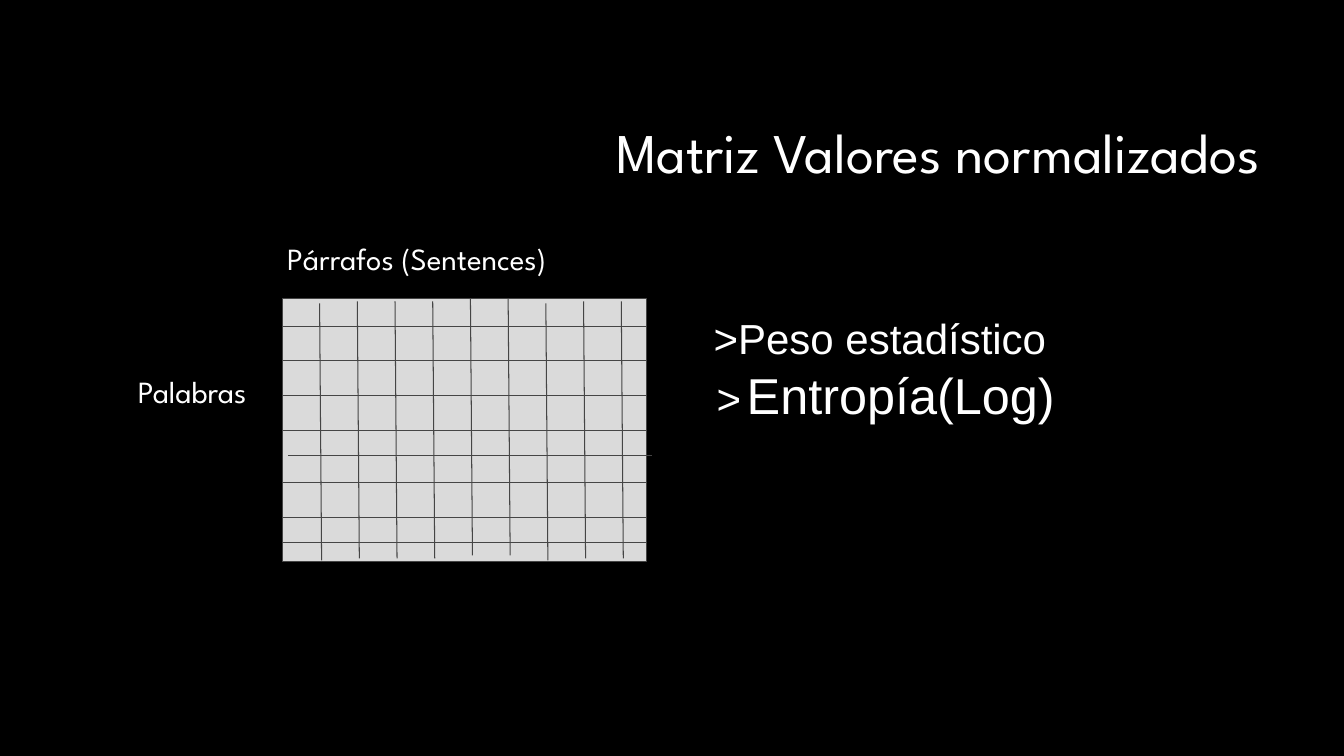
from lxml import etree
from pptx import Presentation
from pptx.dml.color import RGBColor
from pptx.enum.shapes import MSO_CONNECTOR, MSO_SHAPE
from pptx.enum.text import MSO_ANCHOR, PP_ALIGN
from pptx.oxml.ns import qn
from pptx.util import Inches, Pt

BLACK = RGBColor(0x00, 0x00, 0x00)
WHITE = RGBColor(0xFF, 0xFF, 0xFF)
CELL_GRAY = RGBColor(0xDA, 0xDA, 0xDA)
LINE_GRAY = RGBColor(0x45, 0x45, 0x45)
SPARTAN, ARIAL = "League Spartan", "Arial"
LEFT, RIGHT = PP_ALIGN.LEFT, PP_ALIGN.RIGHT
TOP, MIDDLE = MSO_ANCHOR.TOP, MSO_ANCHOR.MIDDLE
RECTANGLE, STRAIGHT = MSO_SHAPE.RECTANGLE, MSO_CONNECTOR.STRAIGHT

COLUMN_PITCH, COLUMN_HEIGHT, COLUMN_SLANT = 0.374, 2.55, 0.02
COLUMN_TOPS = [0.05, 0.03, 0.03, 0.03, 0, 0, 0.05, 0.03, 0.03]
ROWS = [(0, 0.28), (0, 0.62), (0, 0.96), (0, 1.31), (0.06, 1.56),
        (0, 1.83), (0, 2.17), (0, 2.42)]


def add_text(s, box, paragraphs, font, align=LEFT, anchor=TOP, spacing=1.0):
    """Add a text box whose paragraphs are lists of (text, size) runs."""
    tf = s.shapes.add_textbox(*map(Inches, box)).text_frame
    tf.word_wrap = True
    tf.vertical_anchor = anchor
    tf.margin_left = tf.margin_right = Inches(0.1)
    tf.margin_top = tf.margin_bottom = Inches(0.1)
    for i, runs in enumerate(paragraphs):
        p = tf.add_paragraph() if i else tf.paragraphs[0]
        p.alignment = align
        p.line_spacing = spacing
        for text, size in runs:
            r = p.add_run()
            r.text = text
            r.font.name = font
            r.font.size = Pt(size)
            r.font.color.rgb = WHITE
    return tf


def add_line(s, x1, y1, x2, y2):
    """Draw one thin grid line."""
    c = s.shapes.add_connector(STRAIGHT, *map(Inches, (x1, y1, x2, y2)))
    c.line.color.rgb = LINE_GRAY
    c.line.width = Pt(0.75)
    etree.SubElement(c._element.spPr, qn("a:effectLst"))


def add_title(s, box):
    """Place the right-aligned slide title."""
    add_text(s, box, [[("Matriz Valores normalizados", 40)]], SPARTAN, RIGHT, MIDDLE, 0.9)


def add_matrix(s, box):
    """Draw the matrix with its column and row labels."""
    x, y, w, h = box
    add_text(s, (x - 0.05, y - 0.64, w, 0.55), [[("Párrafos (Sentences)", 22)]],
             SPARTAN, spacing=0.9)
    add_text(s, (x - 1.53, y + 0.68, 1.5, 0.55), [[("Palabras", 22)]], SPARTAN, spacing=0.9)
    sp = s.shapes.add_shape(RECTANGLE, *map(Inches, box))
    sp.shadow.inherit = False
    sp.fill.solid()
    sp.fill.fore_color.rgb = CELL_GRAY
    sp.line.color.rgb = LINE_GRAY
    sp.line.width = Pt(0.75)
    for i, top in enumerate(COLUMN_TOPS):
        cx = x + 0.37 + i * COLUMN_PITCH
        add_line(s, cx, y + top, cx + COLUMN_SLANT, y + top + COLUMN_HEIGHT)
    for shift, drop in ROWS:
        add_line(s, x + shift, y + drop, x + shift + w, y + drop)


def add_measures(s, box):
    """List the measures used to normalise the values."""
    tf = add_text(s, box, [[(">Peso estadístico", 30)],
                           [(">", 30), (" ", 14), ("Entropía(Log)", 36)]], ARIAL)
    p = tf.paragraphs[1]
    p.space_before = Pt(1)
    pPr = p._p.get_or_add_pPr()
    pPr.set("marL", str(Inches(0.03)))
    pPr.set("indent", "0")


def main():
    """Build the slide and save it."""
    prs = Presentation()
    prs.slide_width, prs.slide_height = Inches(13.33), Inches(7.5)
    s = prs.slides.add_slide(prs.slide_layouts[6])
    s.background.fill.solid()
    s.background.fill.fore_color.rgb = BLACK
    add_title(s, (3.17, 0.84, 9.42, 1.41))
    add_matrix(s, (2.8, 2.96, 3.61, 2.61))
    add_measures(s, (6.98, 3, 5.95, 1.4))
    prs.save("out.pptx")


if __name__ == "__main__":
    main()
